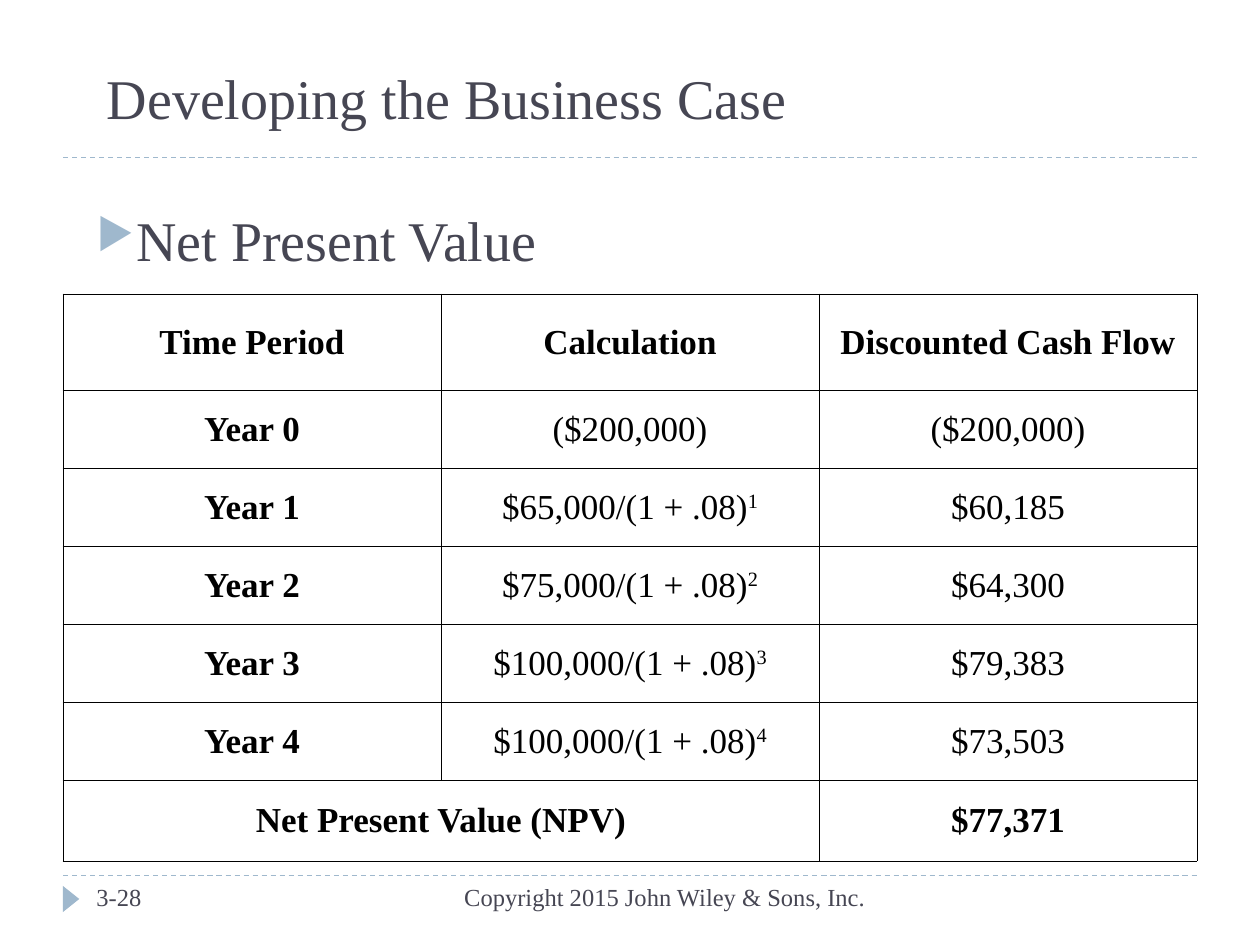
import lxml.etree
import pptx
import pptx.dml.color
import pptx.enum.dml
import pptx.enum.shapes
import pptx.enum.text
import pptx.oxml
import pptx.oxml.ns
import pptx.util

Pt = pptx.util.Pt
qn = pptx.oxml.ns.qn
ALIGN = pptx.enum.text.PP_ALIGN
ANCHOR = pptx.enum.text.MSO_ANCHOR
SLATE = pptx.dml.color.RGBColor(0x46, 0x46, 0x53)
BLUE = pptx.dml.color.RGBColor(0x9F, 0xB8, 0xCD)
BLACK = pptx.dml.color.RGBColor(0, 0, 0)


def add_run(p, text, color, **font):
    r = p.add_run()
    r.text = text
    for name, value in {"name": "Times New Roman", **font}.items():
        setattr(r.font, name, value)
    r.font.color.rgb = color
    return r


def add_text(box, text, size, align=ALIGN.LEFT, anchor=ANCHOR.TOP):
    tf = slide.shapes.add_textbox(*map(Pt, box)).text_frame
    tf.word_wrap = True
    tf.vertical_anchor = anchor
    p = tf.paragraphs[0]
    p.alignment = align
    add_run(p, text, SLATE, size=Pt(size))
    return p


prs = pptx.Presentation()
prs.slide_width, prs.slide_height = Pt(720), Pt(540)
slide = prs.slides.add_slide(prs.slide_layouts[6])

# Dashed rules under the title and above the footer
for y in (90, 500.4):
    line = slide.shapes.add_connector(
        pptx.enum.shapes.MSO_CONNECTOR.STRAIGHT, Pt(36), Pt(y), Pt(684), Pt(y))
    line.line.color.rgb = BLUE
    line.line.width = Pt(0.75)
    line.line.dash_style = pptx.enum.dml.MSO_LINE.DASH
    lxml.etree.SubElement(line._element.spPr, qn("a:effectLst"))

# Footer marker
sp = slide.shapes.add_shape(
    pptx.enum.shapes.MSO_SHAPE.ISOSCELES_TRIANGLE, Pt(33.1), Pt(509), Pt(15), Pt(9.4))
sp.rotation = 90
sp.shadow.inherit = False
sp.fill.solid()
sp.fill.fore_color.rgb = BLUE
sp.line.fill.background()

add_text((54, 24, 612, 54), "Developing the Business Case", 32, anchor=ANCHOR.BOTTOM)

heading = add_text((26.6, 114, 666, 48), "Net Present Value", 32)
pPr = heading._p.get_or_add_pPr()
pPr.set("marL", str(Pt(43.2)))
pPr.set("indent", str(Pt(-21.6)))
bullet_color = lxml.etree.SubElement(pPr, qn("a:buClr"))
lxml.etree.SubElement(bullet_color, qn("a:srgbClr"), val=str(BLUE))
lxml.etree.SubElement(pPr, qn("a:buSzPct"), val="76000")
lxml.etree.SubElement(pPr, qn("a:buChar"), char="▶")

# Each cell: text, or text with an exponent
rows = [
    ("Time Period", "Calculation", "Discounted Cash Flow"),
    ("Year 0", "($200,000)", "($200,000)"),
    ("Year 1", ("$65,000/(1 + .08)", "1"), "$60,185"),
    ("Year 2", ("$75,000/(1 + .08)", "2"), "$64,300"),
    ("Year 3", ("$100,000/(1 + .08)", "3"), "$79,383"),
    ("Year 4", ("$100,000/(1 + .08)", "4"), "$73,503"),
    ("Net Present Value (NPV)", "", "$77,371"),
]
heights = [55] + [44.6] * 5 + [46]
last = len(rows) - 1

frame = slide.shapes.add_table(len(rows), 3, Pt(36), Pt(168), Pt(648), Pt(sum(heights)))
table = frame.table
table.first_row = table.horz_banding = False
for col in table.columns:
    col.width = Pt(216)
for i, (row, height) in enumerate(zip(rows, heights)):
    table.rows[i].height = Pt(height)
    for j, content in enumerate(row):
        cell = table.cell(i, j)
        cell.vertical_anchor = ANCHOR.MIDDLE
        tcPr = cell._tc.get_or_add_tcPr()
        for side in ("lnL", "lnR", "lnT", "lnB"):
            ln = lxml.etree.SubElement(tcPr, qn("a:" + side), w=str(Pt(0.45)))
            fill = lxml.etree.SubElement(ln, qn("a:solidFill"))
            lxml.etree.SubElement(fill, qn("a:srgbClr"), val=str(BLACK))
        cell.fill.background()
        if not content:
            continue
        p = cell.text_frame.paragraphs[0]
        p.alignment = ALIGN.CENTER
        text, *exponent = [content] if isinstance(content, str) else content
        bold = i in (0, last) or j == 0
        add_run(p, text, BLACK, size=Pt(20), bold=bold)
        for power in exponent:
            r = add_run(p, power, BLACK, size=Pt(20), bold=bold)
            r._r.get_or_add_rPr().set("baseline", "30000")
table.cell(last, 0).merge(table.cell(last, 1))

add_text((48, 500.4, 156, 28.8), "3-28", 14)
add_text((228, 500.4, 273.6, 28.8), "Copyright 2015 John Wiley & Sons, Inc.", 14, ALIGN.RIGHT)

prs.save("out.pptx")
